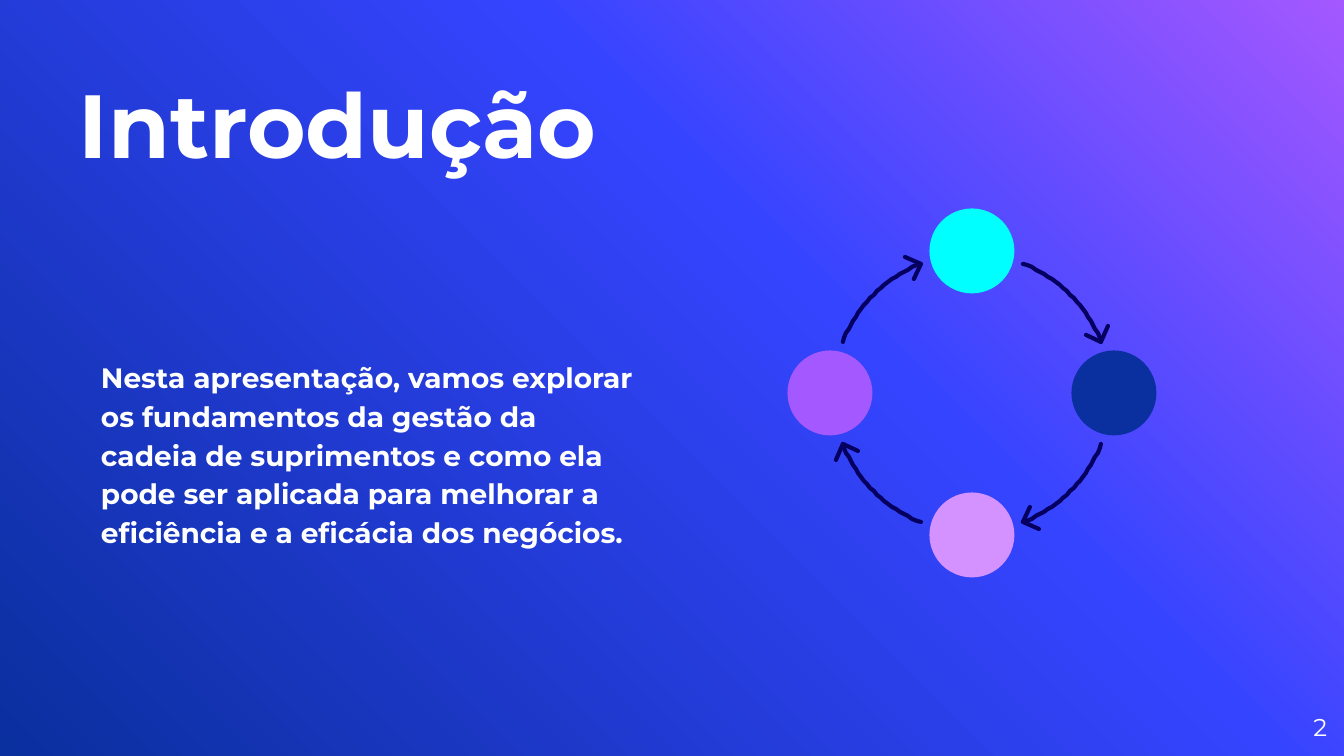
import math
from lxml import etree
from pptx import Presentation, util as u
from pptx.dml.color import RGBColor
from pptx.enum import shapes, text
from pptx.oxml.ns import qn

PX = 914400 / 134.4
FONT = "Montserrat"
WHITE = RGBColor(0xFF, 0xFF, 0xFF)
PURPLE = RGBColor(0xA4, 0x58, 0xFF)
BLUE = RGBColor(0x35, 0x44, 0xFF)
NAVY = RGBColor(0x0A, 0x2F, 0x9E)
CYAN = RGBColor(0x00, 0xFF, 0xFF)
LILAC = RGBColor(0xD3, 0x92, 0xFF)
INK = RGBColor(0x05, 0x00, 0x60)

# Content
TITLE = "Introdução"
BODY = ("Nesta apresentação, vamos explorar os fundamentos da gestão da "
        "cadeia de suprimentos e como ela pode ser aplicada para melhorar a "
        "eficiência e a eficácia dos negócios.")
PAGE = "2"
GRADIENT = [(0, PURPLE), (39, BLUE), (100, NAVY)]  # top right to bottom left
STAGES = [CYAN, NAVY, LILAC, PURPLE]               # clockwise from the top

# Cycle geometry: px, and degrees clockwise from the top
CENTER_X, CENTER_Y = 972, 393
STAGE_RADIUS, ARC_RADIUS, DOT = 142, 139, 85
ARC_START, ARC_END, ARC_STEPS = 21.5, 68.5, 24
BARB, BARB_ANGLES = 17, (-66, 22)


def px(value):
    return round(value * PX)


def polar(x, y, radius, degrees):
    angle = math.radians(degrees)
    return x + radius * math.sin(angle), y - radius * math.cos(angle)


def add_text(slide, box, words, size, bold=False, anchor=text.MSO_ANCHOR.TOP,
             align=text.PP_ALIGN.LEFT, spacing=1.0):
    frame = slide.shapes.add_textbox(*map(px, box)).text_frame
    frame.word_wrap = True
    frame.vertical_anchor = anchor
    frame.margin_left = frame.margin_right = frame.margin_top = frame.margin_bottom = 0
    paragraph = frame.paragraphs[0]
    paragraph.text = words
    paragraph.alignment = align
    paragraph.line_spacing = spacing
    font = paragraph.font
    font.name, font.size, font.bold = FONT, u.Pt(size), bold
    font.color.rgb = WHITE


def add_stroke(slide, points):
    builder = slide.shapes.build_freeform(*points[0], scale=PX)
    builder.add_line_segments(points[1:], close=False)
    shape = builder.convert_to_shape()
    shape.shadow.inherit = False
    shape.fill.background()
    shape.line.color.rgb = INK
    shape.line.width = u.Pt(2.25)
    line = shape.element.spPr.find(qn("a:ln"))
    line.set("cap", "rnd")
    etree.SubElement(line, qn("a:round"))


def set_background(slide):
    fill = slide.background.fill
    fill.gradient()
    fill.gradient_angle = 225
    stops = slide.element.find(".//" + qn("a:gsLst"))
    for stop in list(stops):
        stops.remove(stop)
    for percent, color in GRADIENT:
        stop = etree.SubElement(stops, qn("a:gs"), pos=str(percent * 1000))
        etree.SubElement(stop, qn("a:srgbClr"), val=str(color))


def add_cycle(slide):
    # Stages
    for index, color in enumerate(STAGES):
        x, y = polar(CENTER_X, CENTER_Y, STAGE_RADIUS, index * 90)
        dot = slide.shapes.add_shape(shapes.MSO_SHAPE.OVAL, px(x - DOT / 2),
                                     px(y - DOT / 2), px(DOT), px(DOT))
        dot.shadow.inherit = False
        dot.fill.solid()
        dot.fill.fore_color.rgb = color
        dot.line.fill.background()
    # Curved arrows between stages
    step = (ARC_END - ARC_START) / ARC_STEPS
    for index in range(len(STAGES)):
        turn = index * 90
        arc = [polar(CENTER_X, CENTER_Y, ARC_RADIUS, turn + ARC_START + i * step)
               for i in range(ARC_STEPS + 1)]
        tip = arc[-1]
        left, right = (polar(*tip, BARB, turn + angle) for angle in BARB_ANGLES)
        add_stroke(slide, arc)
        add_stroke(slide, [left, tip, right])


def main():
    presentation = Presentation()
    presentation.slide_width, presentation.slide_height = px(1344), px(756)
    slide = presentation.slides.add_slide(presentation.slide_layouts[6])
    set_background(slide)
    add_text(slide, (79, 70, 808, 106), TITLE, 48, bold=True,
             anchor=text.MSO_ANCHOR.BOTTOM)
    add_text(slide, (101, 356, 539, 220), BODY, 15, bold=True, spacing=1.15)
    add_text(slide, (1246, 698, 81, 58), PAGE, 13,
             anchor=text.MSO_ANCHOR.MIDDLE, align=text.PP_ALIGN.RIGHT)
    add_cycle(slide)
    presentation.save("out.pptx")


if __name__ == "__main__":
    main()
